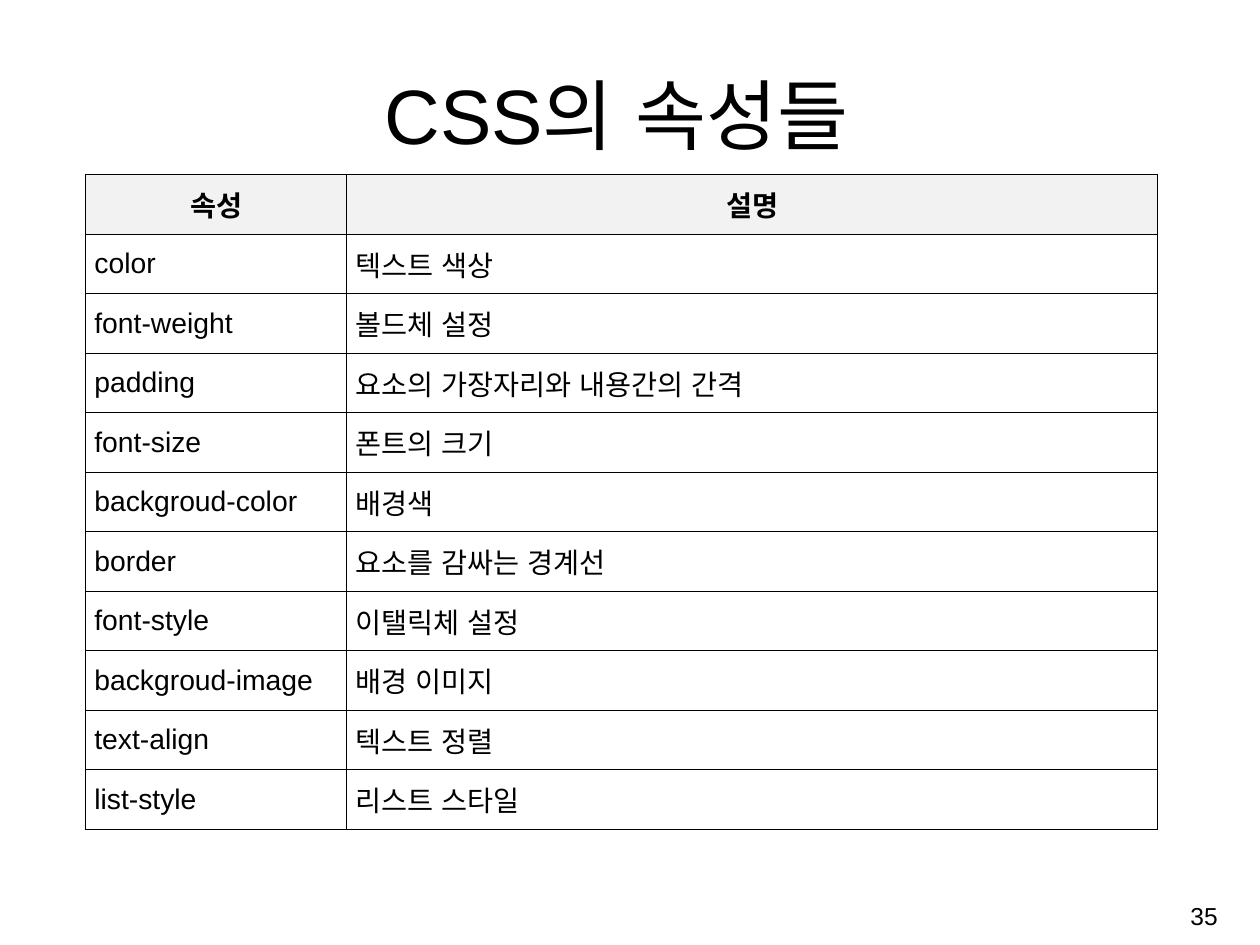
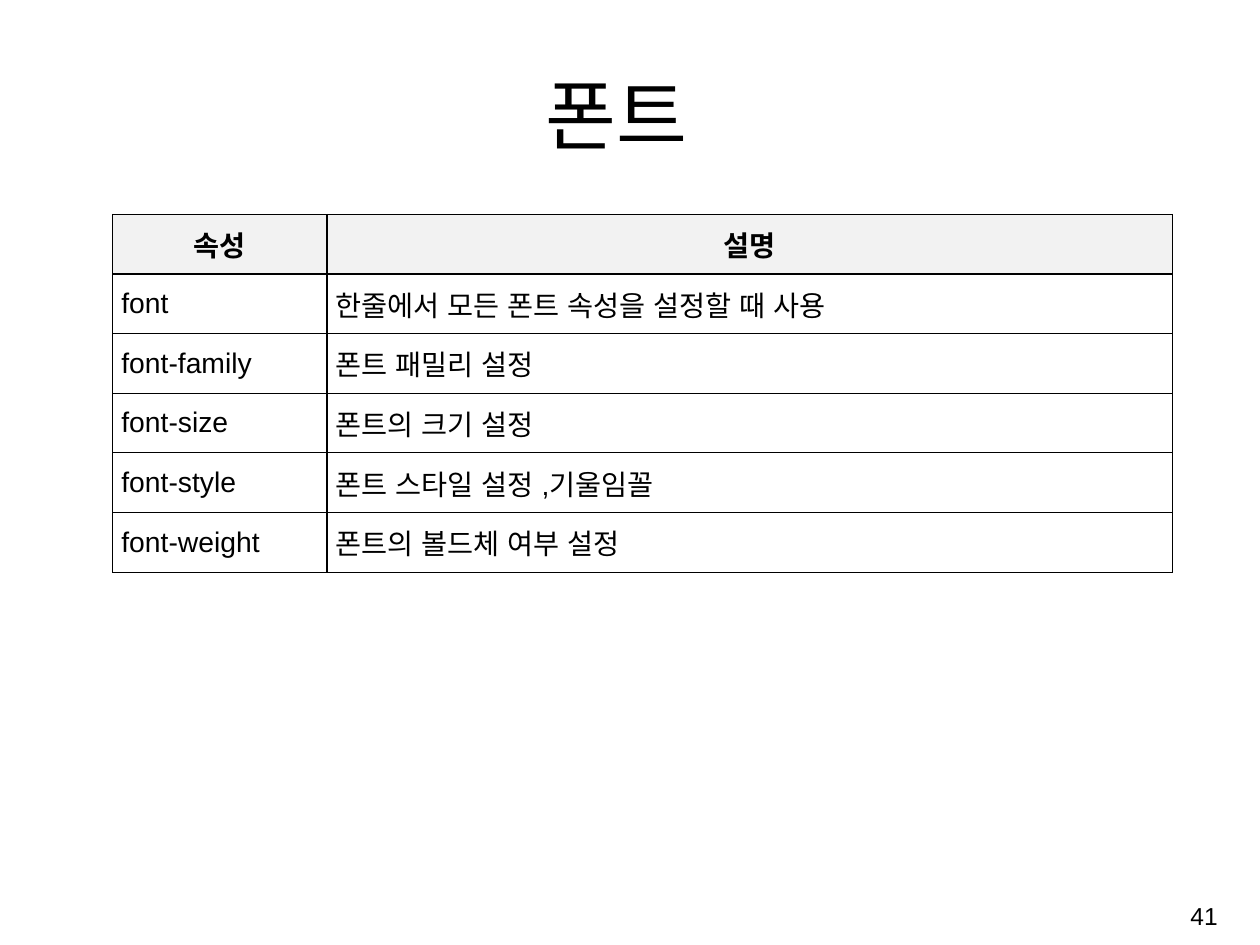
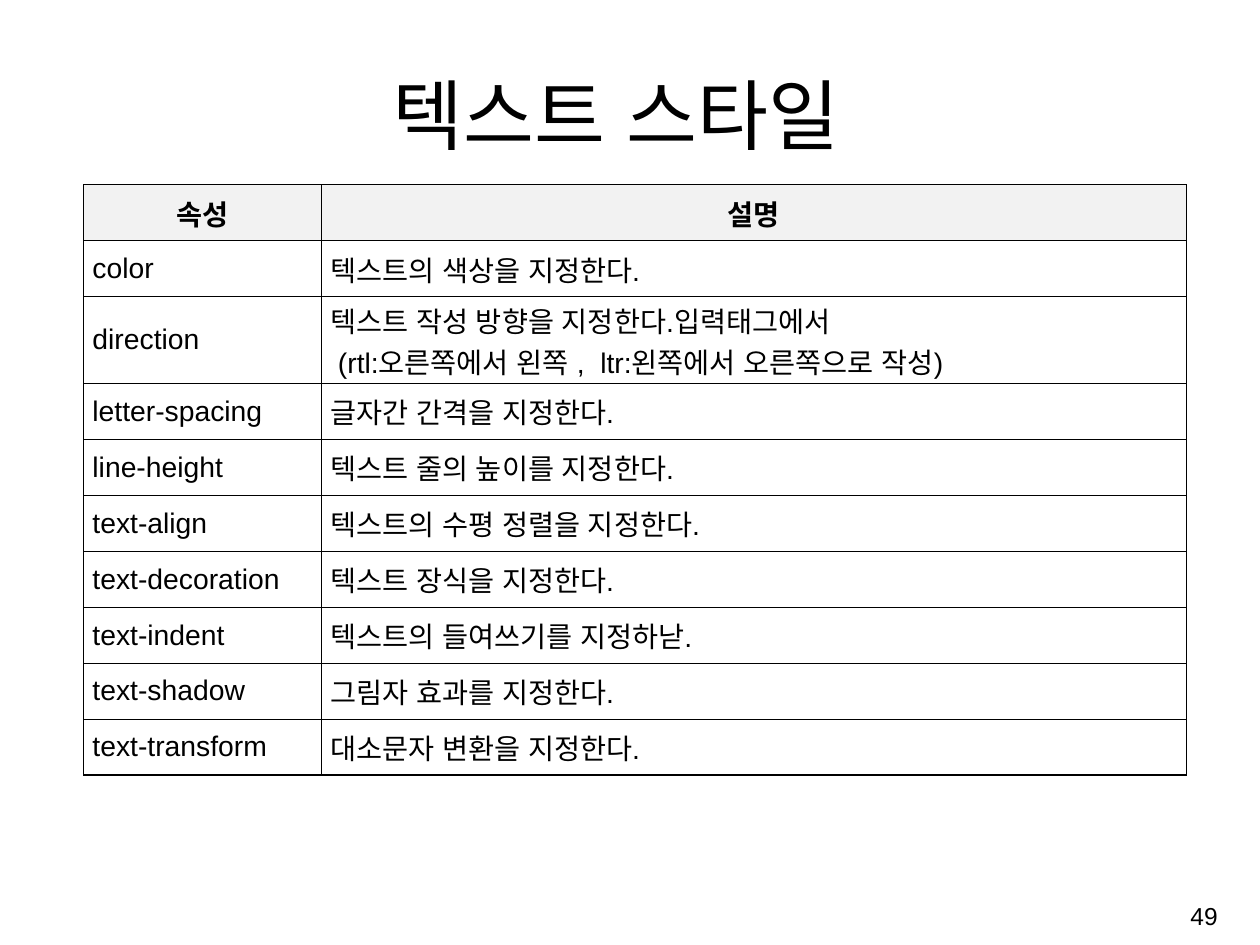
from dataclasses import dataclass

from lxml import etree
from pptx import Presentation
from pptx.dml.color import RGBColor
from pptx.enum.lang import MSO_LANGUAGE_ID
from pptx.enum.text import MSO_ANCHOR, PP_ALIGN
from pptx.oxml.ns import qn
from pptx.util import Inches, Pt

CENTER, JUSTIFY, RIGHT = PP_ALIGN.CENTER, PP_ALIGN.JUSTIFY, PP_ALIGN.RIGHT
MIDDLE, BOTTOM = MSO_ANCHOR.MIDDLE, MSO_ANCHOR.BOTTOM
KOREAN = MSO_LANGUAGE_ID.KOREAN
SLIDE_WIDTH, SLIDE_HEIGHT = Inches(12.99), Inches(9.74)
BLANK_LAYOUT = 6


@dataclass(frozen=True)
class Theme:
    font: str = "Arial"
    ink: str = "000000"
    header_fill: str = "F2F2F2"
    title_size: float = 57.2
    table_size: float = 21
    number_size: float = 18.2
    border_width: float = 1
    cell_margin_x: float = 0.09
    cell_margin_y: float = 0.03
    extra_line_height: float = 3.29


@dataclass(frozen=True)
class Area:
    left: float
    top: float
    width: float
    height: float


@dataclass(frozen=True)
class PropertyTable:
    left: float
    top: float
    columns: tuple[float, float]
    row_height: float
    rows: tuple[tuple[str, str], ...]


@dataclass(frozen=True)
class PropertyPage:
    title: str
    number: int
    table: PropertyTable


THEME = Theme()
TITLE_AREA = Area(8.08, 6.36, 81.68, 11.09)
NUMBER_AREA = Area(76.77, 93.86, 20.63, 6.14)
HEADER = ("속성", "설명")

PAGES = (
    PropertyPage("CSS의 속성들", 35, PropertyTable(6.8, 18.48, (20.71, 64.36), 6.3, (
        ("color", "텍스트 색상"),
        ("font-weight", "볼드체 설정"),
        ("padding", "요소의 가장자리와 내용간의 간격"),
        ("font-size", "폰트의 크기"),
        ("backgroud-color", "배경색"),
        ("border", "요소를 감싸는 경계선"),
        ("font-style", "이탤릭체 설정"),
        ("backgroud-image", "배경 이미지"),
        ("text-align", "텍스트 정렬"),
        ("list-style", "리스트 스타일"),
    ))),
    PropertyPage("폰트", 41, PropertyTable(8.94, 22.69, (17.01, 67.13), 6.31, (
        ("font", "한줄에서 모든 폰트 속성을 설정할 때 사용"),
        ("font-family", "폰트 패밀리 설정"),
        ("font-size", "폰트의 크기 설정"),
        ("font-style", "폰트 스타일 설정 ,기울임꼴"),
        ("font-weight", "폰트의 볼드체 여부 설정"),
    ))),
    PropertyPage("텍스트 스타일", 49, PropertyTable(6.65, 19.55, (18.86, 68.67), 5.92, (
        ("color", "텍스트의 색상을 지정한다."),
        ("direction", "텍스트 작성 방향을 지정한다.입력태그에서\n"
                      " (rtl:오른쪽에서 왼쪽 ,  ltr:왼쪽에서 오른쪽으로 작성)"),
        ("letter-spacing", "글자간 간격을 지정한다."),
        ("line-height", "텍스트 줄의 높이를 지정한다."),
        ("text-align", "텍스트의 수평 정렬을 지정한다."),
        ("text-decoration", "텍스트 장식을 지정한다."),
        ("text-indent", "텍스트의 들여쓰기를 지정하낟."),
        ("text-shadow", "그림자 효과를 지정한다."),
        ("text-transform", "대소문자 변환을 지정한다."),
    ))),
)


def across(percent: float) -> int:
    return round(SLIDE_WIDTH * percent / 100)


def down(percent: float) -> int:
    return round(SLIDE_HEIGHT * percent / 100)


def write_text(frame, text: str, size: float, align, bold: bool = False) -> None:
    frame.text = text
    for para in frame.paragraphs:
        para.alignment = align
        para.font.name = THEME.font
        para.font.size = Pt(size)
        para.font.bold = bold
        para.font.language_id = KOREAN
        para.font.color.rgb = RGBColor.from_string(THEME.ink)


def add_text(page, area: Area, text: str, size: float, align, anchor) -> None:
    box = page.shapes.add_textbox(across(area.left), down(area.top),
                                  across(area.width), down(area.height))
    box.text_frame.word_wrap = True
    box.text_frame.vertical_anchor = anchor
    write_text(box.text_frame, text, size, align)


def add_borders(cell) -> None:
    properties = cell._tc.get_or_add_tcPr()
    for position, side in enumerate(("a:lnL", "a:lnR", "a:lnT", "a:lnB")):
        line = etree.Element(qn(side), w=str(Pt(THEME.border_width)))
        fill = etree.SubElement(line, qn("a:solidFill"))
        etree.SubElement(fill, qn("a:srgbClr"), val=THEME.ink)
        properties.insert(position, line)


def style_cell(cell, text: str, is_header: bool) -> None:
    cell.margin_left = cell.margin_right = Inches(THEME.cell_margin_x)
    cell.margin_top = cell.margin_bottom = Inches(THEME.cell_margin_y)
    cell.vertical_anchor = MIDDLE
    if is_header:
        cell.fill.solid()
        cell.fill.fore_color.rgb = RGBColor.from_string(THEME.header_fill)
    else:
        cell.fill.background()
    add_borders(cell)
    write_text(cell.text_frame, text, THEME.table_size,
               CENTER if is_header else JUSTIFY, is_header)


def add_property_table(page, layout: PropertyTable) -> None:
    rows = (HEADER, *layout.rows)
    heights = [layout.row_height + THEME.extra_line_height * description.count("\n")
               for _, description in rows]
    table = page.shapes.add_table(
        len(rows), len(HEADER), across(layout.left), down(layout.top),
        across(sum(layout.columns)), down(sum(heights))).table
    table.horz_banding = False
    table.first_row = False
    for column, width in zip(table.columns, layout.columns):
        column.width = across(width)
    for row_index, (texts, height) in enumerate(zip(rows, heights)):
        table.rows[row_index].height = down(height)
        for column_index, text in enumerate(texts):
            style_cell(table.cell(row_index, column_index), text, row_index == 0)


def add_page(deck, content: PropertyPage) -> None:
    page = deck.slides.add_slide(deck.slide_layouts[BLANK_LAYOUT])
    add_text(page, TITLE_AREA, content.title, THEME.title_size, CENTER, BOTTOM)
    add_property_table(page, content.table)
    add_text(page, NUMBER_AREA, str(content.number), THEME.number_size, RIGHT, MIDDLE)


def main() -> None:
    deck = Presentation()
    deck.slide_width, deck.slide_height = SLIDE_WIDTH, SLIDE_HEIGHT
    for content in PAGES:
        add_page(deck, content)
    deck.save("out.pptx")


if __name__ == "__main__":
    main()
